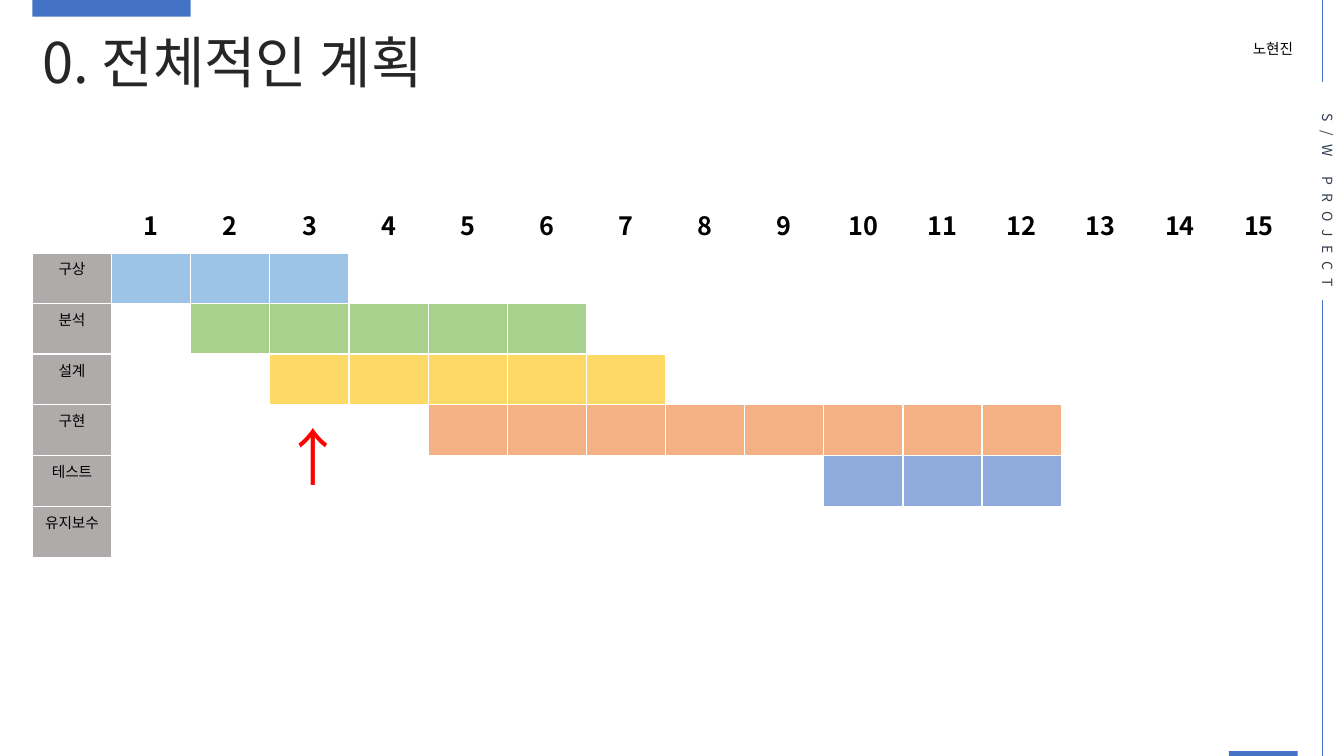
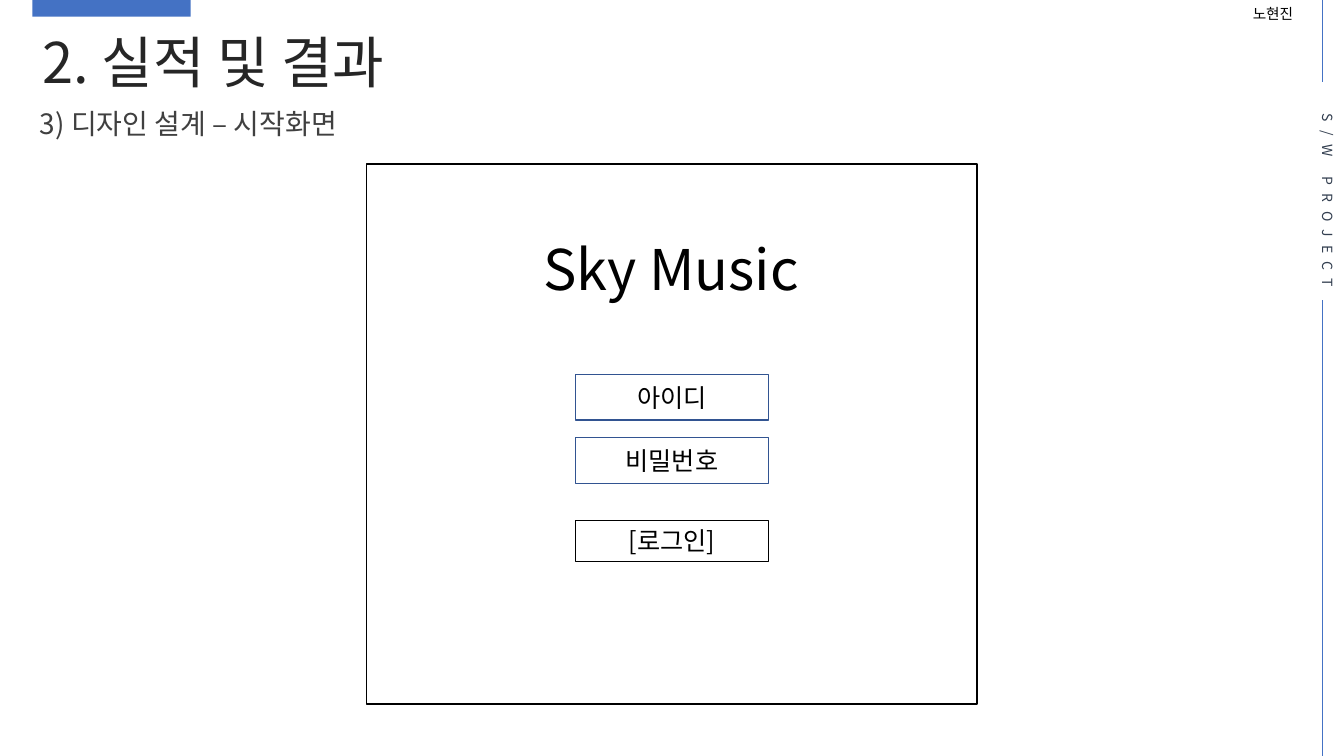
from collections import namedtuple

from lxml import etree
from pptx import Presentation
from pptx.dml.color import RGBColor
from pptx.enum.shapes import MSO_CONNECTOR, MSO_SHAPE
from pptx.enum.text import MSO_ANCHOR, MSO_AUTO_SIZE, PP_ALIGN
from pptx.oxml.ns import qn
from pptx.util import Pt

RECTANGLE = MSO_SHAPE.RECTANGLE
STRAIGHT = MSO_CONNECTOR.STRAIGHT
LEFT, CENTER = PP_ALIGN.LEFT, PP_ALIGN.CENTER
TOP, MIDDLE = MSO_ANCHOR.TOP, MSO_ANCHOR.MIDDLE
GROW = MSO_AUTO_SIZE.SHAPE_TO_FIT_TEXT
TITLE_ONLY = 5

FONT = "Noto Sans CJK KR"
ACCENT, BLACK, WHITE = "4472C4", "000000", "FFFFFF"
TITLE_COLOR, SUBTITLE_COLOR, RAIL_COLOR = "262626", "404040", "333F50"
LABEL_FILL, FIELD_LINE, ARROW_COLOR = "AFABAB", "325491", "FF0000"

Box = namedtuple("Box", "left top width height")
Phase = namedtuple("Phase", "name first last fill")

PAGE = Box(0, 0, 960, 540)
WEEKS = 15
PHASES = [
    Phase("구상", 1, 3, "9DC3E6"),
    Phase("분석", 2, 6, "A9D18E"),
    Phase("설계", 3, 7, "FFD966"),
    Phase("구현", 5, 12, "F4B183"),
    Phase("테스트", 10, 12, "8FAADC"),
    Phase("유지보수", 0, 0, WHITE),
]


def color(value):
    return RGBColor.from_string(value)


def points(box):
    return [Pt(length) for length in box]


def add_run(paragraph, text, size, text_color, bold=False):
    run = paragraph.add_run()
    run.text = text
    run.font.name = FONT
    run.font.size = Pt(size)
    run.font.bold = bold
    run.font.color.rgb = color(text_color)
    east_asian = etree.SubElement(run.font._element, qn("a:ea"))
    east_asian.set("typeface", FONT)
    return run


def write_text(shape, text, size, text_color, align=LEFT, anchor=TOP):
    frame = shape.text_frame
    frame.vertical_anchor = anchor
    paragraph = frame.paragraphs[0]
    paragraph.alignment = align
    return add_run(paragraph, text, size, text_color)


def add_text(shapes, box, text, size, text_color, align=LEFT, wrap=True):
    shape = shapes.add_textbox(*points(box))
    shape.text_frame.word_wrap = wrap
    shape.text_frame.auto_size = GROW
    write_text(shape, text, size, text_color, align)
    return shape


def add_rectangle(shapes, box, fill=None, line=None, line_width=1):
    shape = shapes.add_shape(RECTANGLE, *points(box))
    shape.shadow.inherit = False
    if fill:
        shape.fill.solid()
        shape.fill.fore_color.rgb = color(fill)
    else:
        shape.fill.background()
    if line:
        shape.line.color.rgb = color(line)
        shape.line.width = Pt(line_width)
    else:
        shape.line.fill.background()
    return shape


def add_side_rail(shapes, box):
    x = box.left + box.width - 15.4
    bottom = box.top + box.height
    for start, end in ((box.top, box.top + 58.5), (box.top + 214.5, bottom)):
        line = shapes.add_connector(STRAIGHT, Pt(x), Pt(start), Pt(x), Pt(end))
        line.line.color.rgb = color(ACCENT)
        line.line.width = Pt(0.5)
        etree.SubElement(line._element.spPr, qn("a:effectLst"))
    label = add_text(shapes, Box(x - 12.9, box.top + 74.2, 26.6, 140.3),
                     "S/W PROJECT", 10, RAIL_COLOR, wrap=False)
    label.text_frame._txBody.bodyPr.set("vert", "eaVert")
    label.text_frame.paragraphs[0].runs[0].font._element.set("spc", "600")


def start_slide(presentation, title, title_width, author_top):
    slide = presentation.slides.add_slide(
        presentation.slide_layouts[TITLE_ONLY])
    shapes = slide.shapes
    add_rectangle(shapes, Box(23.2, 0, 113, 12), fill=ACCENT)
    heading = shapes.title
    heading.left, heading.top, heading.width, heading.height = points(
        Box(23.2, 16, title_width, 55.4))
    heading.text_frame.word_wrap = False
    heading.text_frame.auto_size = GROW
    write_text(heading, title, 40, TITLE_COLOR)
    add_side_rail(shapes, PAGE)
    add_text(shapes, Box(887.8, author_top, 49, 20.5), "노현진", 10.5, BLACK)
    return slide


def add_borders(cell, bottom):
    properties = cell._tc.get_or_add_tcPr()
    for side, width in (("L", 1), ("R", 1), ("T", 1), ("B", bottom)):
        line = etree.SubElement(properties, qn(f"a:ln{side}"))
        line.set("w", str(Pt(width)))
        solid = etree.SubElement(line, qn("a:solidFill"))
        etree.SubElement(solid, qn("a:srgbClr")).set("val", WHITE)


def format_cell(cell, fill, text="", size=18, bold=False, bottom=1):
    add_borders(cell, bottom)
    cell.fill.solid()
    cell.fill.fore_color.rgb = color(fill)
    if text:
        paragraph = cell.text_frame.paragraphs[0]
        paragraph.alignment = CENTER
        add_run(paragraph, text, size, BLACK, bold)


def add_schedule(shapes, box):
    row_count, column_count = len(PHASES) + 1, WEEKS + 1
    table = shapes.add_table(row_count, column_count, *points(box)).table
    table.first_row = False
    table.horz_banding = False
    for column in table.columns:
        column.width = Pt(box.width / column_count)
    for row in table.rows:
        row.height = Pt(box.height / row_count)
    for week in range(column_count):
        format_cell(table.cell(0, week), WHITE, str(week) if week else "",
                    bold=True, bottom=3)
    for index, phase in enumerate(PHASES, start=1):
        format_cell(table.cell(index, 0), LABEL_FILL, phase.name, 10.5)
        for week in range(1, column_count):
            active = phase.first <= week <= phase.last
            format_cell(table.cell(index, week),
                        phase.fill if active else WHITE)


def add_login_screen(shapes, box):
    window = shapes.add_group_shape().shapes
    add_rectangle(window, box, WHITE, BLACK)
    add_text(window, Box(box.left + 25.4, box.top + 47.3, 384.4, 55.4),
             "Sky Music", 40, BLACK, CENTER)
    width = 137.8
    left = box.left + (box.width - width) / 2
    controls = (
        ("아이디", 150.4, 32.6, FIELD_LINE, 1),
        ("비밀번호", 195.7, 32.6, FIELD_LINE, 1),
        ("[로그인]", 254.6, 29.2, BLACK, 0.75),
    )
    for text, offset, height, line, line_width in controls:
        control = add_rectangle(
            shapes, Box(left, box.top + offset, width, height),
            line=line, line_width=line_width)
        write_text(control, text, 18, BLACK, CENTER, MIDDLE)


def build_plan_slide(presentation):
    slide = start_slide(presentation, "0. 전체적인 계획", 317, 24.7)
    shapes = slide.shapes
    add_rectangle(shapes, Box(877.8, 536.5, 49.2, 3.5), fill=ACCENT)
    add_schedule(shapes, Box(23.2, 144, 904.8, 254.1))
    add_text(shapes, Box(195, 296, 33, 60.6), "↑", 44, ARROW_COLOR)


def build_design_slide(presentation):
    slide = start_slide(presentation, "2. 실적 및 결과", 290, 0)
    add_text(slide.shapes, Box(21.3, 72.7, 252, 31.5),
             "3) 디자인 설계 – 시작화면", 20, SUBTITLE_COLOR, wrap=False)
    add_login_screen(slide.shapes, Box(261.8, 117, 436.2, 386))


def main():
    presentation = Presentation()
    presentation.slide_width = Pt(PAGE.width)
    presentation.slide_height = Pt(PAGE.height)
    build_plan_slide(presentation)
    build_design_slide(presentation)
    presentation.save("out.pptx")


if __name__ == "__main__":
    main()
